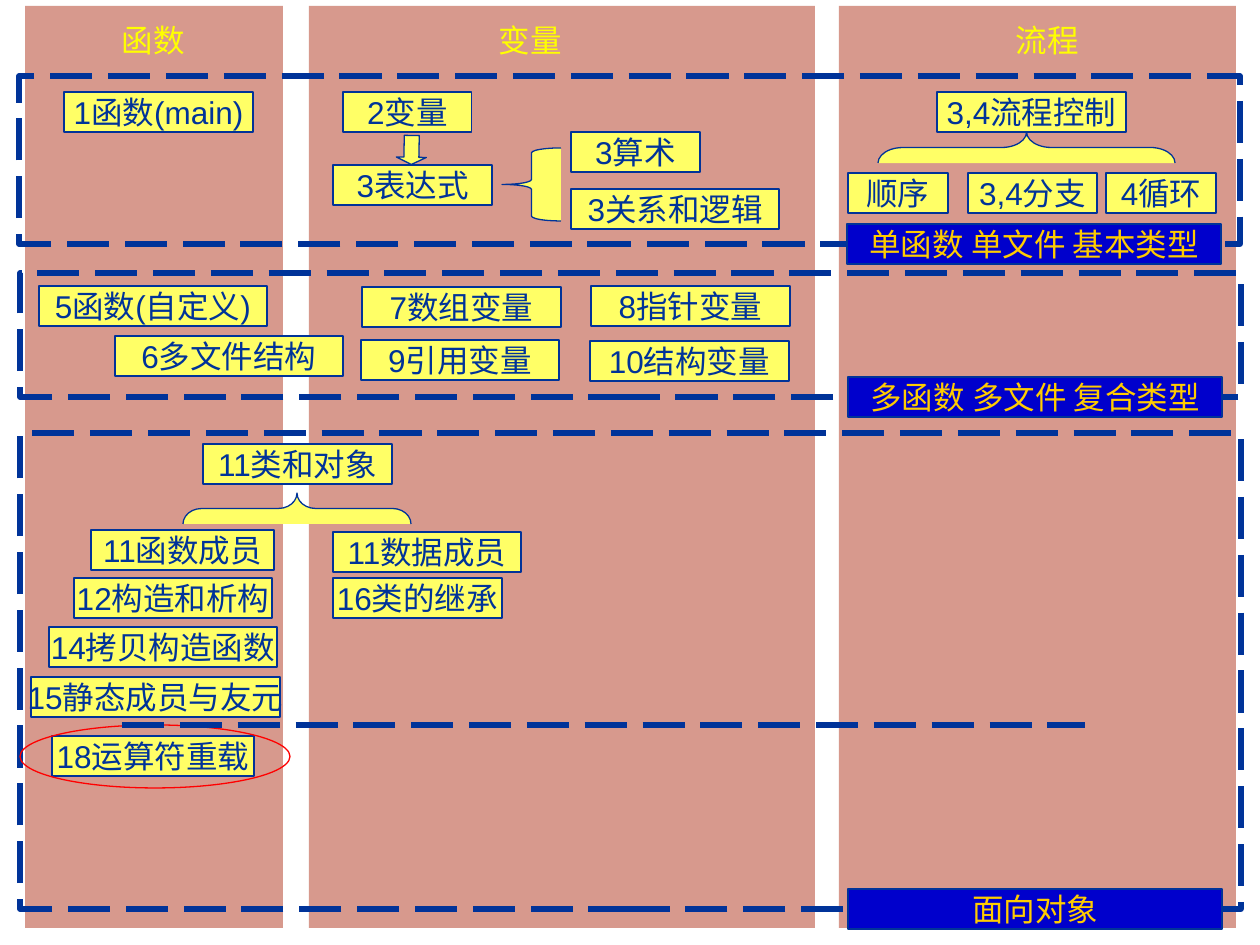
from pptx import Presentation
from pptx.dml.color import RGBColor
from pptx.enum.dml import MSO_LINE
from pptx.enum.shapes import MSO_CONNECTOR, MSO_SHAPE
from pptx.enum.text import MSO_ANCHOR, PP_ALIGN
from pptx.oxml.ns import qn
from pptx.util import Pt
from lxml.etree import SubElement

PX = 914400 / 126
COLORS = {
    "column": "D7998D", "header": "FFFF00", "box": "FFFF66", "navy": "003399",
    "banner": "0000CC", "gold": "FFCC00", "red": "FF0000",
}
BOX_H = 40


def px(n):
    return round(n * PX)


def rgb(name):
    return RGBColor.from_string(COLORS[name])


def style_line(line, color, width, dashed=False):
    line.color.rgb = rgb(color)
    line.width = Pt(width)
    if dashed:
        line.dash_style = MSO_LINE.LONG_DASH


def add_text(sp, text, color="navy", size=18, font="Arial"):
    tf = sp.text_frame
    tf.word_wrap = False
    tf.vertical_anchor = MSO_ANCHOR.MIDDLE
    p = tf.paragraphs[0]
    p.alignment = PP_ALIGN.CENTER
    r = p.add_run()
    r.text = text
    r.font.size = Pt(size)
    r.font.name = font
    r.font.color.rgb = rgb(color)


def add_shape(s, kind, x, y, w, h, fill=None, line="navy", width=0.75, dashed=False):
    sp = s.shapes.add_shape(kind, px(x), px(y), px(w), px(h))
    sp.shadow.inherit = False
    if fill:
        sp.fill.solid()
        sp.fill.fore_color.rgb = rgb(fill)
    else:
        sp.fill.background()
    if line:
        style_line(sp.line, line, width, dashed)
    else:
        sp.line.fill.background()
    return sp


def add_topics(s, left, top, topics):
    for text, x, y, w in topics:
        sp = add_shape(s, MSO_SHAPE.RECTANGLE, left + x, top + y, w, BOX_H, "box")
        add_text(sp, text)


def add_top_brace(s, x, y, w, h, curve):
    """Brace pointing up: a left brace turned a quarter inside the box."""
    sp = add_shape(s, MSO_SHAPE.LEFT_BRACE, x + (w - h) / 2, y + (h - w) / 2, h, w, "box")
    sp.rotation = 90
    sp.adjustments[0] = curve


def add_column(s, x, y, w, h, title, title_x):
    add_shape(s, MSO_SHAPE.RECTANGLE, x, y, w, h, "column", line=None)
    tb = s.shapes.add_textbox(px(x + title_x), px(y + 10), px(139), px(48))
    add_text(tb, title, color="header")


def add_stage(s, x, y, w, h, banner, topics):
    """Dashed frame with its topics and a banner on the lower right edge."""
    add_topics(s, x, y, topics)
    add_shape(s, MSO_SHAPE.RECTANGLE, x, y, w, h, width=3, dashed=True)
    sp = add_shape(s, MSO_SHAPE.RECTANGLE, x + w - 393, y + h - 20, 374, BOX_H, "banner")
    add_text(sp, banner, color="gold")


def add_basic_stage(s, x, y, w, h):
    # Arrow from variable to expression
    arrow = add_shape(s, MSO_SHAPE.RIGHT_ARROW, x + 378, y + 59, 29, 30, "box")
    arrow.rotation = 91
    arrow.adjustments[1] = 0.25
    # Braces for expression kinds and control flow
    add_shape(s, MSO_SHAPE.LEFT_BRACE, x + 483, y + 72, 59, 73, "box")
    add_top_brace(s, x + 859, y + 56, 297, 31, 0.8)
    add_stage(s, x, y, w, h, "单函数 单文件 基本类型", [
        ("1函数(main)", 45, 16, 189),
        ("2变量", 324, 16, 129),
        ("3表达式", 314, 89, 159),
        ("3算术", 552, 56, 129),
        ("3关系和逻辑", 552, 113, 208),
        ("3,4流程控制", 918, 16, 189),
        ("顺序", 829, 97, 100),
        ("3,4分支", 949, 97, 129),
        ("4循环", 1087, 97, 110),
    ])


def add_compound_stage(s, x, y, w, h):
    add_stage(s, x, y, w, h, "多函数 多文件 复合类型", [
        ("5函数(自定义)", 19, 13, 228),
        ("6多文件结构", 95, 63, 228),
        ("7数组变量", 342, 14, 199),
        ("8指针变量", 571, 13, 199),
        ("9引用变量", 341, 67, 198),
        ("10结构变量", 570, 68, 199),
    ])


def add_object_stage(s, x, y, w, h):
    add_top_brace(s, x + 163, y + 60, 228, 31, 0.6)
    add_stage(s, x, y, w, h, "面向对象", [
        ("11类和对象", 183, 11, 189),
        ("11函数成员", 71, 97, 183),
        ("11数据成员", 313, 99, 188),
        ("12构造和析构", 54, 145, 198),
        ("14拷贝构造函数", 29, 194, 228),
        ("15静态成员与友元", 11, 244, 249),
        ("16类的继承", 313, 145, 169),
        ("18运算符重载", 32, 303, 202),
    ])
    # Highlight ring and dividing line
    add_shape(s, MSO_SHAPE.OVAL, x, y + 292, 270, 63, line="red")
    line = s.shapes.add_connector(MSO_CONNECTOR.STRAIGHT, px(x + 102), px(y + 292),
                                  px(x + 1065), px(y + 292))
    style_line(line.line, "navy", 3, dashed=True)
    SubElement(line._element.spPr, qn("a:effectLst"))


def main():
    prs = Presentation()
    prs.slide_width, prs.slide_height = px(1260), px(945)
    s = prs.slides.add_slide(prs.slide_layouts[6])
    # Column bands with headings
    for x, w, title, title_x in [(839, 397, "流程", 139), (309, 506, "变量", 152),
                                 (25, 258, "函数", 59)]:
        add_column(s, x, 6, w, 922, title, title_x)
    # Three learning stages
    add_basic_stage(s, 19, 76, 1221, 168)
    add_compound_stage(s, 20, 273, 1221, 124)
    add_object_stage(s, 20, 433, 1221, 476)
    prs.save("out.pptx")


if __name__ == "__main__":
    main()
